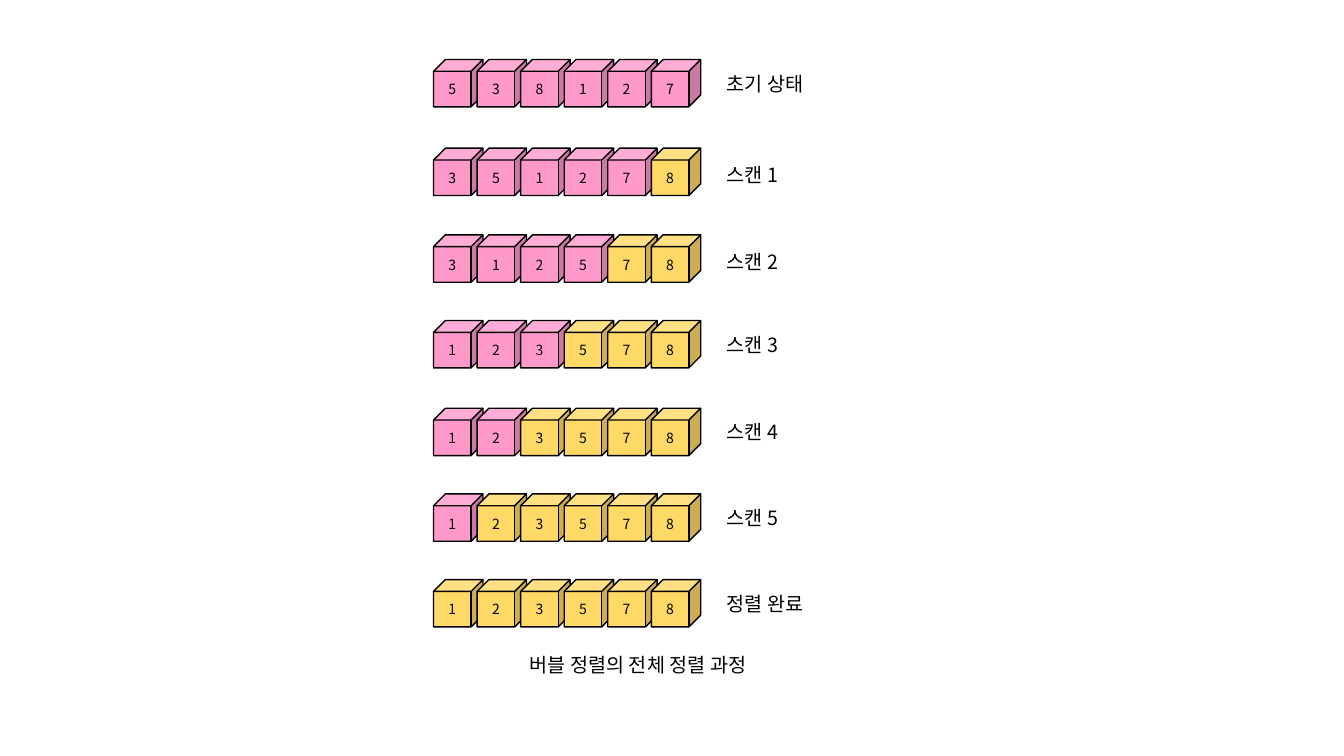
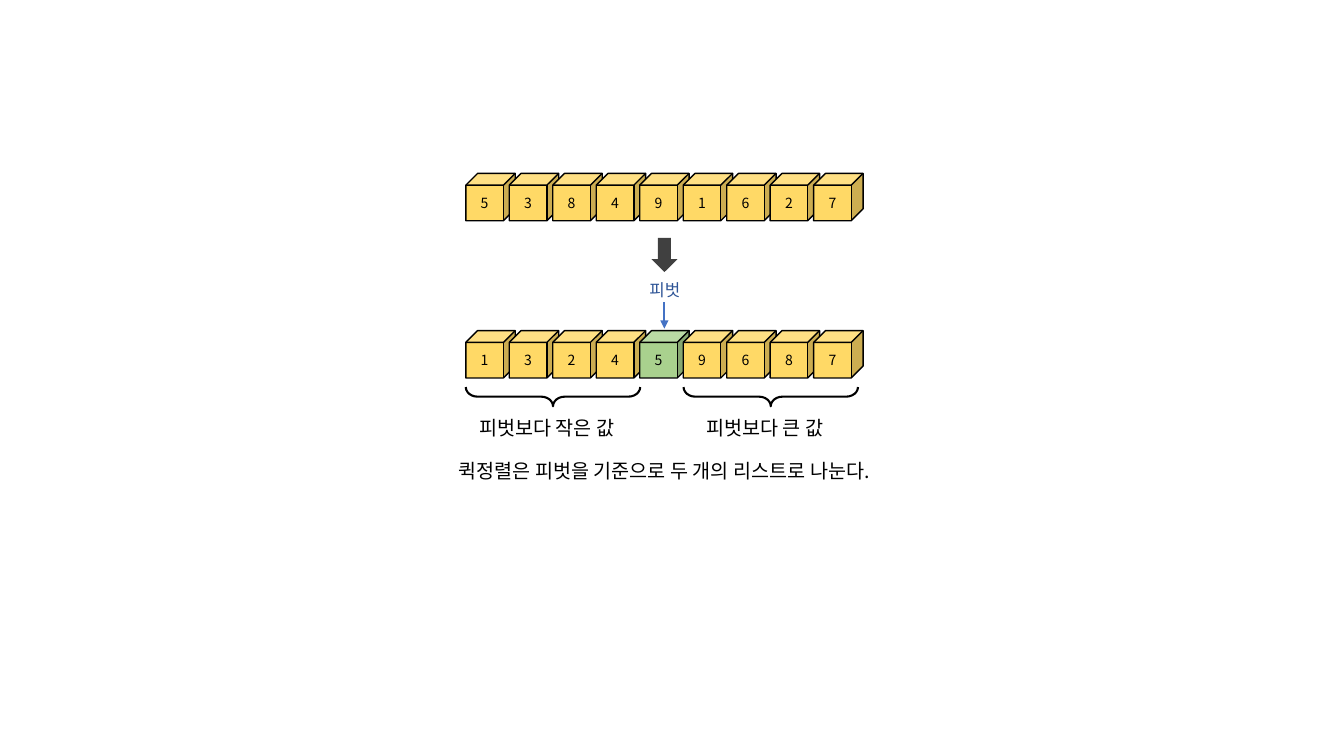
from collections import namedtuple

from lxml import etree
from pptx import Presentation
from pptx.dml.color import RGBColor
from pptx.enum.shapes import MSO_CONNECTOR, MSO_SHAPE
from pptx.enum.text import MSO_ANCHOR, MSO_AUTO_SIZE, PP_ALIGN
from pptx.oxml.ns import qn
from pptx.util import Inches, Pt

CUBE, BLOCK_ARROW, BRACE = MSO_SHAPE.CUBE, MSO_SHAPE.DOWN_ARROW, MSO_SHAPE.LEFT_BRACE
STRAIGHT = MSO_CONNECTOR.STRAIGHT
LEFT, CENTER, MIDDLE = PP_ALIGN.LEFT, PP_ALIGN.CENTER, MSO_ANCHOR.MIDDLE
GROW = MSO_AUTO_SIZE.SHAPE_TO_FIT_TEXT

FONT = "Noto Sans CJK KR"
BLACK, DARK_GRAY = "000000", "404040"
PINK, YELLOW, GREEN = "FF99CC", "FFD966", "A9D18E"
BLUE, DEEP_BLUE = "4472C4", "2F5597"
CUBE_WIDTH, CUBE_HEIGHT = 0.49, 0.47
LABEL_HEIGHT = 0.34

Box = namedtuple("Box", "left top width height")

SCANS = [
    (0.59, 0.66, "538127", 0, "초기 상태"),
    (1.47, 1.57, "351278", 1, "스캔 1"),
    (2.33, 2.43, "312578", 2, "스캔 2"),
    (3.18, 3.25, "123578", 3, "스캔 3"),
    (4.05, 4.12, "123578", 4, "스캔 4"),
    (4.90, 4.97, "123578", 5, "스캔 5"),
    (5.75, 5.82, "123578", 6, "정렬 완료"),
]


def color(hex_string):
    """Return the colour for a hex string."""
    return RGBColor.from_string(hex_string)


def write(frame, text, size, ink, align):
    """Write one styled paragraph into a text frame."""
    para = frame.paragraphs[0]
    para.text = text
    para.alignment = align
    para.font.size = Pt(size)
    para.font.color.rgb = color(ink)
    para.font.name = FONT
    properties = para._p.pPr.find(qn("a:defRPr"))
    etree.SubElement(properties, qn("a:ea")).set("typeface", FONT)


def add_label(page, box, text, size=14, ink=BLACK, align=CENTER):
    """Add a line of text in the box."""
    label = page.shapes.add_textbox(*map(Inches, box))
    frame = label.text_frame
    frame.word_wrap = True
    frame.auto_size = GROW
    write(frame, text, size, ink, align)


def add_preset(page, kind, box, fill=None, line_width=None):
    """Add a preset shape with an optional fill and black outline."""
    shape = page.shapes.add_shape(kind, *map(Inches, box))
    shape.shadow.inherit = False
    if fill:
        shape.fill.solid()
        shape.fill.fore_color.rgb = color(fill)
    else:
        shape.fill.background()
    if line_width:
        shape.line.color.rgb = color(BLACK)
        shape.line.width = Pt(line_width)
    else:
        shape.line.fill.background()
    return shape


def add_cubes(page, box, digits, fills):
    """Spread numbered cubes evenly over the box."""
    step = (box.width - CUBE_WIDTH) / (len(digits) - 1)
    for index, (digit, fill) in enumerate(zip(digits, fills)):
        place = Box(box.left + index * step, box.top, CUBE_WIDTH, box.height)
        cube = add_preset(page, CUBE, place, fill, 1)
        cube.text_frame.vertical_anchor = MIDDLE
        write(cube.text_frame, digit, 10, BLACK, CENTER)


def add_brace(page, box, text):
    """Add a brace that opens upward over the box, with a label below."""
    middle_x, middle_y = box.left + box.width / 2, box.top + box.height / 2
    upright = Box(middle_x - box.height / 2, middle_y - box.width / 2, box.height, box.width)
    brace = add_preset(page, BRACE, upright, line_width=1.5)
    brace.rotation = 270
    brace.adjustments[0] = 0.615
    add_label(page, Box(box.left - 0.18, box.top + 0.24, 1.97, LABEL_HEIGHT), text)


def add_pointer(page, box):
    """Add an arrow down the left edge of the box."""
    ends = (box.left, box.top, box.left, box.top + box.height)
    pointer = page.shapes.add_connector(STRAIGHT, *map(Inches, ends))
    pointer.line.color.rgb = color(BLUE)
    pointer.line.width = Pt(1.5)
    etree.SubElement(pointer.line._get_or_add_ln(), qn("a:tailEnd")).set("type", "triangle")
    etree.SubElement(pointer._element.spPr, qn("a:effectLst"))


def build_bubble_sort(page, box):
    """Show every scan of the bubble sort."""
    for top, label_top, digits, done, text in SCANS:
        fills = [PINK] * (len(digits) - done) + [YELLOW] * done
        add_cubes(page, Box(box.left, top, box.width, CUBE_HEIGHT), digits, fills)
        label_box = Box(box.left + box.width + 0.16, label_top, 2.25, LABEL_HEIGHT)
        add_label(page, label_box, text, align=LEFT)
    caption_box = Box(box.left - 1.6, box.top + box.height, 7.26, LABEL_HEIGHT)
    add_label(page, caption_box, "버블 정렬의 전체 정렬 과정")


def build_quick_sort(page, box):
    """Show how the pivot splits the list."""
    left, top, width, _ = box
    middle = left + width / 2
    before = Box(left, top, width, CUBE_HEIGHT)
    add_cubes(page, before, "538491627", [YELLOW] * 9)
    add_preset(page, BLOCK_ARROW, Box(middle - 0.13, top + 0.64, 0.26, 0.34), DARK_GRAY)
    add_label(page, Box(middle - 1.12, top + 1.01, 2.25, 0.3), "피벗", 12, DEEP_BLUE)
    add_pointer(page, Box(middle, top + 1.28, 0, 0.26))
    after = before._replace(top=top + 1.56)
    add_cubes(page, after, "132459687", [YELLOW] * 4 + [GREEN] + [YELLOW] * 4)
    for offset, text in ((0, "피벗보다 작은 값"), (2.16, "피벗보다 큰 값")):
        add_brace(page, Box(left + offset, top + 2.12, 1.73, 0.19), text)
    caption_box = Box(middle - 3.63, top + box.height, 7.26, LABEL_HEIGHT)
    add_label(page, caption_box, "퀵정렬은 피벗을 기준으로 두 개의 리스트로 나눈다.")


def main():
    """Build and save the deck."""
    deck = Presentation()
    deck.slide_width, deck.slide_height = Inches(13.33), Inches(7.5)
    blank = deck.slide_layouts[6]
    build_bubble_sort(deck.slides.add_slide(blank), Box(4.3, 0.59, 2.65, 5.84))
    build_quick_sort(deck.slides.add_slide(blank), Box(4.62, 1.72, 3.94, 2.78))
    deck.save("out.pptx")


main()
